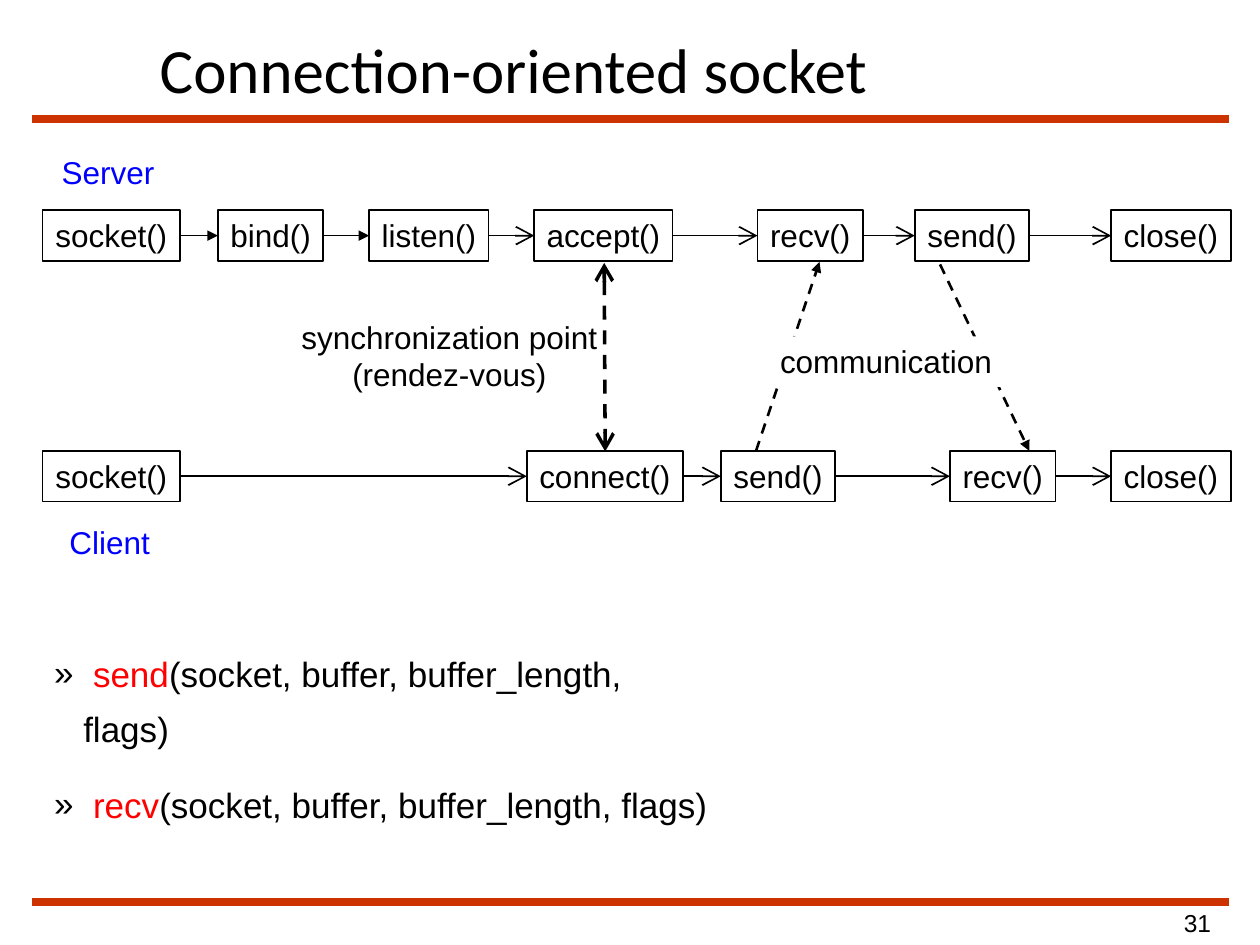
from lxml import etree
from pptx import Presentation
from pptx.dml.color import RGBColor
from pptx.enum.dml import MSO_LINE
from pptx.enum.shapes import MSO_CONNECTOR, MSO_SHAPE
from pptx.enum.text import MSO_ANCHOR, PP_ALIGN
from pptx.oxml.ns import qn
from pptx.util import Cm, Pt

LEFT, CENTER = PP_ALIGN.LEFT, PP_ALIGN.CENTER
TOP, MIDDLE = MSO_ANCHOR.TOP, MSO_ANCHOR.MIDDLE
BLACK, WHITE, BLUE, RED, RULE = "000000", "FFFFFF", "0000FF", "FF0000", "CC3300"
HEAD_SIZE = {"triangle": "med", "arrow": "lg"}

BOX_H = 1.02
BOX_W = {"socket()": 2.77, "bind()": 2.13, "listen()": 2.41, "accept()": 2.79,
         "connect()": 3.15, "recv()": 2.13, "send()": 2.31, "close()": 2.41}

# Row top, then (call, left, head of the arrow leading to it)
ROWS = [
    (4.24, [("socket()", 0.86, None), ("bind()", 4.39, "triangle"),
            ("listen()", 7.44, "triangle"), ("accept()", 10.77, "arrow"),
            ("recv()", 15.27, "arrow"), ("send()", 18.44, "arrow"),
            ("close()", 22.4, "arrow")]),
    (9.09, [("socket()", 0.86, None), ("connect()", 10.62, "arrow"),
            ("send()", 14.53, "arrow"), ("recv()", 19.15, "arrow"),
            ("close()", 22.4, "arrow")]),
]

# Start, end, width, head, tail
EXCHANGES = [
    ((12.18, 5.3), (12.2, 9.1), 2, "arrow", "arrow"),
    ((15.24, 9.09), (16.52, 5.28), 1.5, None, "triangle"),
    ((18.95, 5.33), (20.75, 9.09), 1.5, None, "triangle"),
]

# Lines, left, top, width, height, colour
LABELS = [
    ("Server", 0.88, 2.97, 2.6, BOX_H, BLUE),
    ("Client", 1.01, 10.41, 2.4, BOX_H, BLUE),
    ("synchronization point\n(rendez-vous)", 5.71, 6.28, 6.7, 1.78, BLACK),
]

ARGUMENTS = "(socket, buffer, buffer_length, flags)"
BULLETS = ["send", "recv"]


def rgb(value):
    return RGBColor.from_string(value)


def style(font, size, color, name="Arial"):
    font.name, font.size = name, Pt(size)
    font.color.rgb = rgb(color)


def write(sp, text, size=18, color=BLACK, name="Arial", align=CENTER,
          anchor=TOP, wrap=False):
    tf = sp.text_frame
    tf.text = text
    tf.word_wrap, tf.vertical_anchor = wrap, anchor
    for p in tf.paragraphs:
        p.alignment = align
        for r in p.runs:
            style(r.font, size, color, name)
    return tf


def add_text(s, text, x, y, w, h, **options):
    sp = s.shapes.add_textbox(Cm(x), Cm(y), Cm(w), Cm(h))
    return write(sp, text, **options)


def add_box(s, text, x, y, w, fill=None, line=None):
    sp = s.shapes.add_shape(MSO_SHAPE.RECTANGLE, Cm(x), Cm(y), Cm(w), Cm(BOX_H))
    sp.shadow.inherit = False
    if fill:
        sp.fill.solid()
        sp.fill.fore_color.rgb = rgb(fill)
    else:
        sp.fill.background()
    if line:
        sp.line.color.rgb = rgb(line)
        sp.line.width = Pt(1)
    else:
        sp.line.fill.background()
    write(sp, text)


def add_line(s, start, end, width=1, color=BLACK, head=None, tail=None, dash=False):
    points = [Cm(v) for v in (*start, *end)]
    cn = s.shapes.add_connector(MSO_CONNECTOR.STRAIGHT, *points)
    cn.line.color.rgb = rgb(color)
    cn.line.width = Pt(width)
    if dash:
        cn.line.dash_style = MSO_LINE.DASH
    ln = cn.line._get_or_add_ln()
    for tag, kind in (("a:headEnd", head), ("a:tailEnd", tail)):
        if kind:
            size = HEAD_SIZE[kind]
            etree.SubElement(ln, qn(tag), type=kind, w=size, len=size)
    etree.SubElement(cn._element.spPr, qn("a:effectLst"))


def add_row(s, top, calls):
    """Draw one row of calls, each joined to the one before it."""
    middle = top + BOX_H / 2
    right = None
    for call, x, tail in calls:
        add_box(s, call, x, top, BOX_W[call], line=BLACK)
        if tail:
            add_line(s, (right, middle), (x, middle), tail=tail)
        right = x + BOX_W[call]


def add_bullets(s):
    tf = add_text(s, "\n".join([" "] * len(BULLETS)), 0.84, 12.78, 13.74, 2.9,
                  size=20, align=LEFT, wrap=True)
    for p, call in zip(tf.paragraphs, BULLETS):
        p.line_spacing, p.space_after = 1.3, Pt(12.5)
        for text, color in ((call, RED), (ARGUMENTS, BLACK)):
            r = p.add_run()
            r.text = text
            style(r.font, 20, color)
        pPr = p._p.get_or_add_pPr()
        pPr.set("marL", str(Cm(0.59)))
        pPr.set("indent", str(-Cm(0.59)))
        bullet_color = etree.SubElement(pPr, qn("a:buClr"))
        etree.SubElement(bullet_color, qn("a:srgbClr"), val=BLACK)
        etree.SubElement(pPr, qn("a:buFont"), typeface="Arial")
        etree.SubElement(pPr, qn("a:buChar"), char="»")


def main():
    prs = Presentation()
    prs.slide_width, prs.slide_height = Cm(25.4), Cm(19.05)
    s = prs.slides.add_slide(prs.slide_layouts[6])

    for y in (2.39, 18.19):
        add_line(s, (0.64, y), (24.77, y), width=4.5, color=RULE)
    add_text(s, "Connection-oriented socket", 2.97, 0.2, 20.32, 2.34, size=36,
             name="Calibri", align=LEFT, anchor=MIDDLE, wrap=True)
    add_bullets(s)

    for top, calls in ROWS:
        add_row(s, top, calls)
    for start, end, width, head, tail in EXCHANGES:
        add_line(s, start, end, width, head=head, tail=tail, dash=True)
    for text, x, y, w, h, color in LABELS:
        add_text(s, text, x, y, w, h, color=color)
    add_box(s, "communication", 15.47, 6.78, 4.78, fill=WHITE)

    tf = add_text(s, "31", 23.29, 18.31, 1.7, 0.58, size=14, wrap=True)
    tf.margin_left = tf.margin_right = tf.margin_top = tf.margin_bottom = 0
    prs.save("out.pptx")


if __name__ == "__main__":
    main()
